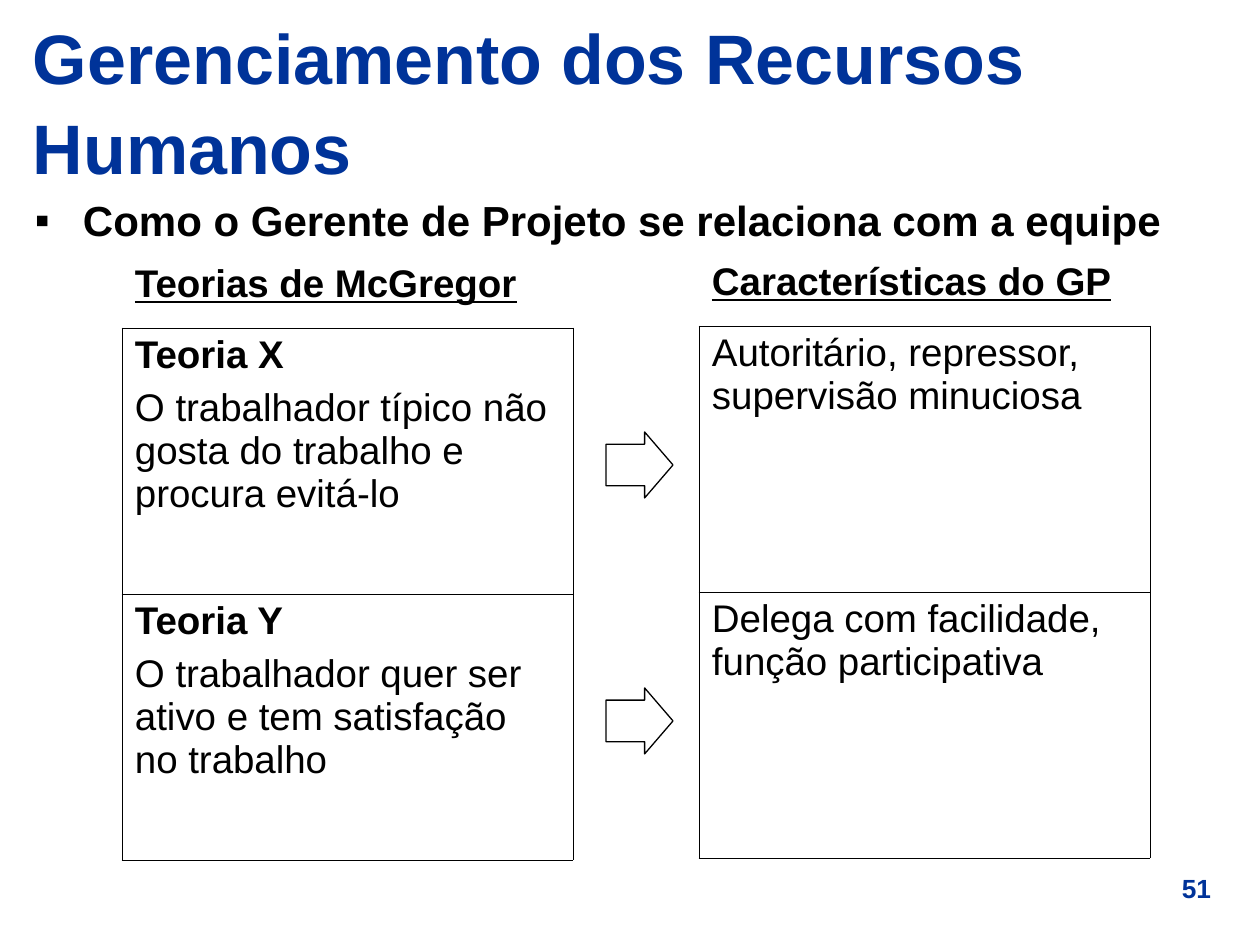
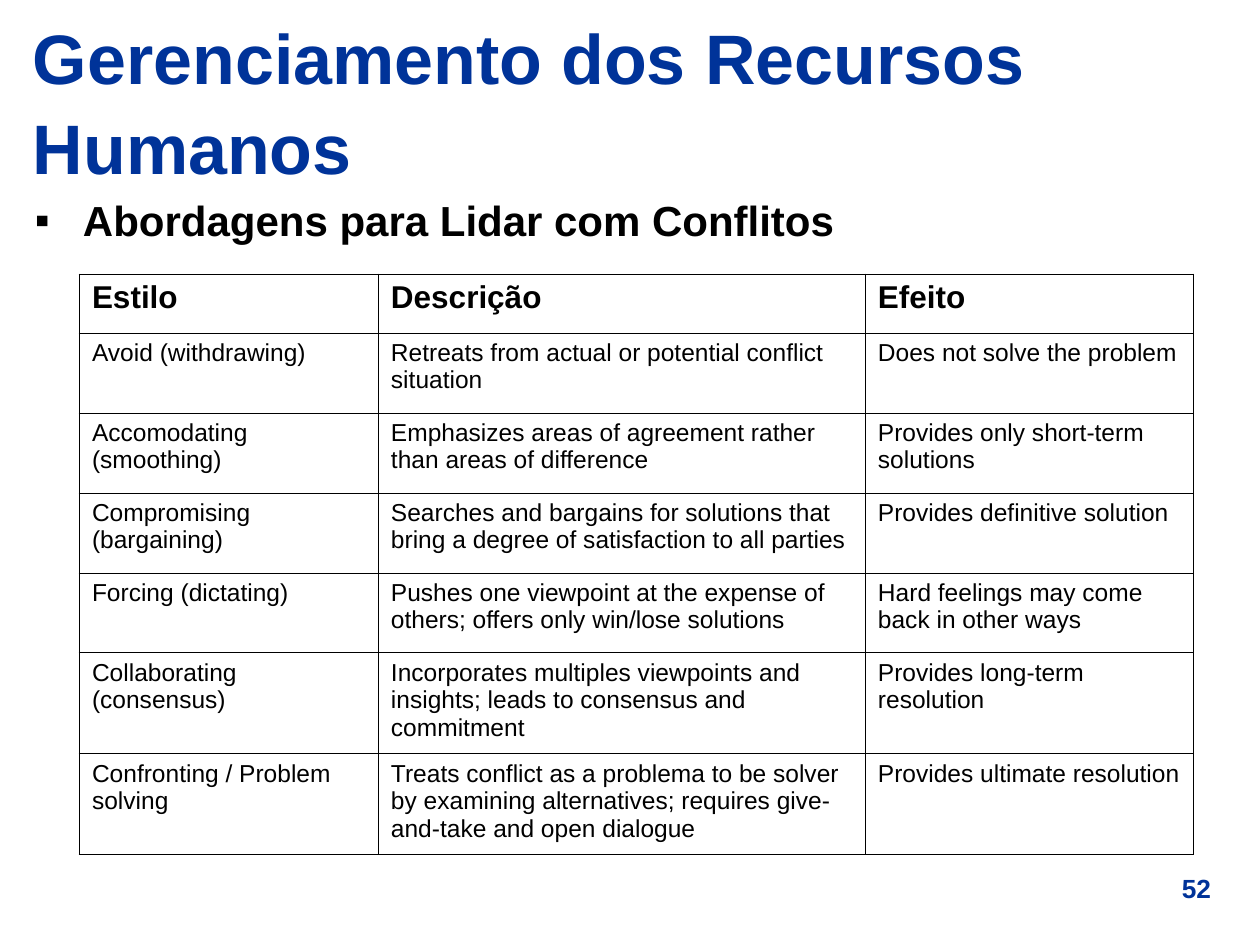
from dataclasses import dataclass
from typing import Any

from lxml.etree import SubElement
from pptx import Presentation
from pptx.dml.color import RGBColor
from pptx.enum.shapes import MSO_SHAPE
from pptx.enum.text import MSO_ANCHOR, PP_ALIGN
from pptx.oxml.ns import qn
from pptx.util import Emu, Pt

PIXELS_PER_INCH = 126
EMU_PER_PIXEL = 914400 / PIXELS_PER_INCH


@dataclass(frozen=True)
class Theme:
    font: str = "Arial"
    ink: str = "000000"
    accent: str = "003399"
    paper: str = "FFFFFF"
    title_size: int = 40
    topic_size: int = 24
    theory_size: int = 22
    heading_size: int = 18
    cell_size: int = 14
    number_size: int = 15
    line_spacing: float = 1.07
    border_width: float = 0.45
    arrow_width: float = 0.75


@dataclass(frozen=True)
class Box:
    left: int
    top: int
    width: int
    height: int


@dataclass(frozen=True)
class Line:
    text: str
    size: int
    bold: bool = False
    underline: bool = False


@dataclass(frozen=True)
class Cell:
    lines: tuple[Line, ...]
    sides: str = "LRTB"


@dataclass(frozen=True)
class Grid:
    left: int
    top: int
    columns: tuple[int, ...]
    rows: tuple[int, ...]
    cells: tuple[tuple[Cell, ...], ...]


THEME = Theme()
TITLE = "Gerenciamento dos Recursos Humanos"
TITLE_BOX = Box(23, 35, 1212, 127)
TOPIC_BOX = Box(25, 185, 1211, 704)
NUMBER_BOX = Box(1147, 864, 99, 44)
TOPIC_INDENT = 48
ARROWS = tuple(Box(606, top, 67, 66) for top in (432, 688))

THEORY_COLUMN = (451,)
THEORY_ROWS = (71, 266, 266)

STYLE_ROWS = (
    ("Estilo", "Descrição", "Efeito"),
    ("Avoid (withdrawing)", "Retreats from actual or potential conflict situation",
     "Does not solve the problem"),
    ("Accomodating (smoothing)", "Emphasizes areas of agreement rather than areas of difference",
     "Provides only short-term solutions"),
    ("Compromising (bargaining)",
     "Searches and bargains for solutions that bring a degree of satisfaction to all parties",
     "Provides definitive solution"),
    ("Forcing (dictating)",
     "Pushes one viewpoint at the expense of others; offers only win/lose solutions",
     "Hard feelings may come back in other ways"),
    ("Collaborating (consensus)",
     "Incorporates multiples viewpoints and insights; leads to consensus and commitment",
     "Provides long-term resolution"),
    ("Confronting / Problem solving",
     "Treats conflict as a problema to be solver by examining alternatives; "
     "requires give-and-take and open dialogue",
     "Provides ultimate resolution"),
)


def px(length: int) -> Emu:
    return Emu(round(length * EMU_PER_PIXEL))


def place(box: Box) -> tuple[Emu, Emu, Emu, Emu]:
    return px(box.left), px(box.top), px(box.width), px(box.height)


def write(paragraph: Any, text: str, *, size: int, color: str = THEME.ink, bold: bool = False,
          underline: bool = False, align: PP_ALIGN = PP_ALIGN.LEFT, before: float = 0,
          spacing: float = 1.0) -> None:
    paragraph.alignment = align
    paragraph.space_before = Pt(before)
    paragraph.line_spacing = spacing
    run = paragraph.add_run()
    run.text = text
    run.font.name = THEME.font
    run.font.size = Pt(size)
    run.font.bold = bold
    run.font.underline = underline
    run.font.color.rgb = RGBColor.from_string(color)


def add_text(slide: Any, box: Box, text: str, *, margin: int = 10,
             anchor: MSO_ANCHOR = MSO_ANCHOR.TOP, **text_format: Any) -> Any:
    frame = slide.shapes.add_textbox(*place(box)).text_frame
    frame.word_wrap = True
    frame.vertical_anchor = anchor
    frame.margin_left = frame.margin_right = px(margin)
    frame.margin_top = frame.margin_bottom = px(6)
    paragraph = frame.paragraphs[0]
    write(paragraph, text, spacing=THEME.line_spacing, **text_format)
    return paragraph


def add_bullet(paragraph: Any) -> None:
    properties = paragraph._p.get_or_add_pPr()
    properties.set("marL", str(px(TOPIC_INDENT)))
    properties.set("indent", str(-px(TOPIC_INDENT)))
    color = SubElement(properties, qn("a:buClr"))
    SubElement(color, qn("a:srgbClr"), val=THEME.ink)
    SubElement(properties, qn("a:buFont"), typeface=THEME.font)
    SubElement(properties, qn("a:buChar"), char="▪")


def set_borders(table_cell: Any, sides: str) -> None:
    properties = table_cell._tc.get_or_add_tcPr()
    for side in "LRTB":
        border = SubElement(properties, qn(f"a:ln{side}"), w=str(Pt(THEME.border_width)))
        if side in sides:
            fill = SubElement(border, qn("a:solidFill"))
            SubElement(fill, qn("a:srgbClr"), val=THEME.ink)
        else:
            SubElement(border, qn("a:noFill"))


def fill_cell(table_cell: Any, cell: Cell) -> None:
    set_borders(table_cell, cell.sides)
    table_cell.fill.background()
    table_cell.margin_left = table_cell.margin_right = px(13)
    table_cell.margin_top = table_cell.margin_bottom = px(6)
    frame = table_cell.text_frame
    for index, line in enumerate(cell.lines):
        paragraph = frame.add_paragraph() if index else frame.paragraphs[0]
        write(paragraph, line.text, size=line.size, bold=line.bold, underline=line.underline,
              before=line.size / 4)


def add_grid(slide: Any, grid: Grid) -> None:
    box = Box(grid.left, grid.top, sum(grid.columns), sum(grid.rows))
    table = slide.shapes.add_table(len(grid.rows), len(grid.columns), *place(box)).table
    table.first_row = table.horz_banding = False
    for column, width in zip(table.columns, grid.columns):
        column.width = px(width)
    for row, height, cells in zip(table.rows, grid.rows, grid.cells):
        row.height = px(height)
        for table_cell, cell in zip(row.cells, cells):
            fill_cell(table_cell, cell)


def add_arrow(slide: Any, box: Box) -> None:
    shape = slide.shapes.add_shape(MSO_SHAPE.RIGHT_ARROW, *place(box))
    shape.shadow.inherit = False
    shape.adjustments[0] = 0.63
    shape.adjustments[1] = 0.43
    shape.fill.solid()
    shape.fill.fore_color.rgb = RGBColor.from_string(THEME.paper)
    shape.line.color.rgb = RGBColor.from_string(THEME.ink)
    shape.line.width = Pt(THEME.arrow_width)


def add_base_slide(presentation: Any, topic: str, number: int) -> Any:
    slide = presentation.slides.add_slide(presentation.slide_layouts[6])
    add_text(slide, NUMBER_BOX, str(number), margin=13, size=THEME.number_size,
             color=THEME.accent, bold=True, align=PP_ALIGN.CENTER)
    add_text(slide, TITLE_BOX, TITLE, anchor=MSO_ANCHOR.MIDDLE, size=THEME.title_size,
             color=THEME.accent, bold=True)
    add_bullet(add_text(slide, TOPIC_BOX, topic, size=THEME.topic_size, bold=True, before=6))
    return slide


def theory_grid(left: int, top: int, heading: str, *bodies: tuple[Line, ...]) -> Grid:
    heading_line = Line(heading, THEME.theory_size, bold=True, underline=True)
    cells = (Cell((heading_line,), sides="B"), *(Cell(body) for body in bodies))
    return Grid(left, top, THEORY_COLUMN, THEORY_ROWS, tuple((cell,) for cell in cells))


def theory(name: str, description: str) -> tuple[Line, ...]:
    return Line(name, THEME.theory_size, bold=True), Line(description, THEME.theory_size)


def manager(description: str) -> tuple[Line, ...]:
    return (Line(description, THEME.theory_size),)


def build_theories(presentation: Any) -> None:
    slide = add_base_slide(presentation, "Como o Gerente de Projeto se relaciona com a equipe", 51)
    add_grid(slide, theory_grid(
        122, 257, "Teorias de McGregor",
        theory("Teoria X", "O trabalhador típico não gosta do trabalho e procura evitá-lo"),
        theory("Teoria Y", "O trabalhador quer ser ativo e tem satisfação no trabalho")))
    add_grid(slide, theory_grid(
        699, 255, "Características do GP",
        manager("Autoritário, repressor, supervisão minuciosa"),
        manager("Delega com facilidade, função participativa")))
    for arrow in ARROWS:
        add_arrow(slide, arrow)


def build_conflict_styles(presentation: Any) -> None:
    slide = add_base_slide(presentation, "Abordagens para Lidar com Conflitos", 52)
    heading, *styles = STYLE_ROWS
    cells = (
        tuple(Cell((Line(text, THEME.heading_size, bold=True),)) for text in heading),
        *(tuple(Cell((Line(text, THEME.cell_size),)) for text in style) for style in styles),
    )
    add_grid(slide, Grid(79, 274, (299, 487, 328), (59, *[80] * 4, *[101] * 2), cells))


def main() -> None:
    presentation = Presentation()
    presentation.slide_width = px(10 * PIXELS_PER_INCH)
    presentation.slide_height = px(945)
    build_theories(presentation)
    build_conflict_styles(presentation)
    presentation.save("out.pptx")


if __name__ == "__main__":
    main()
